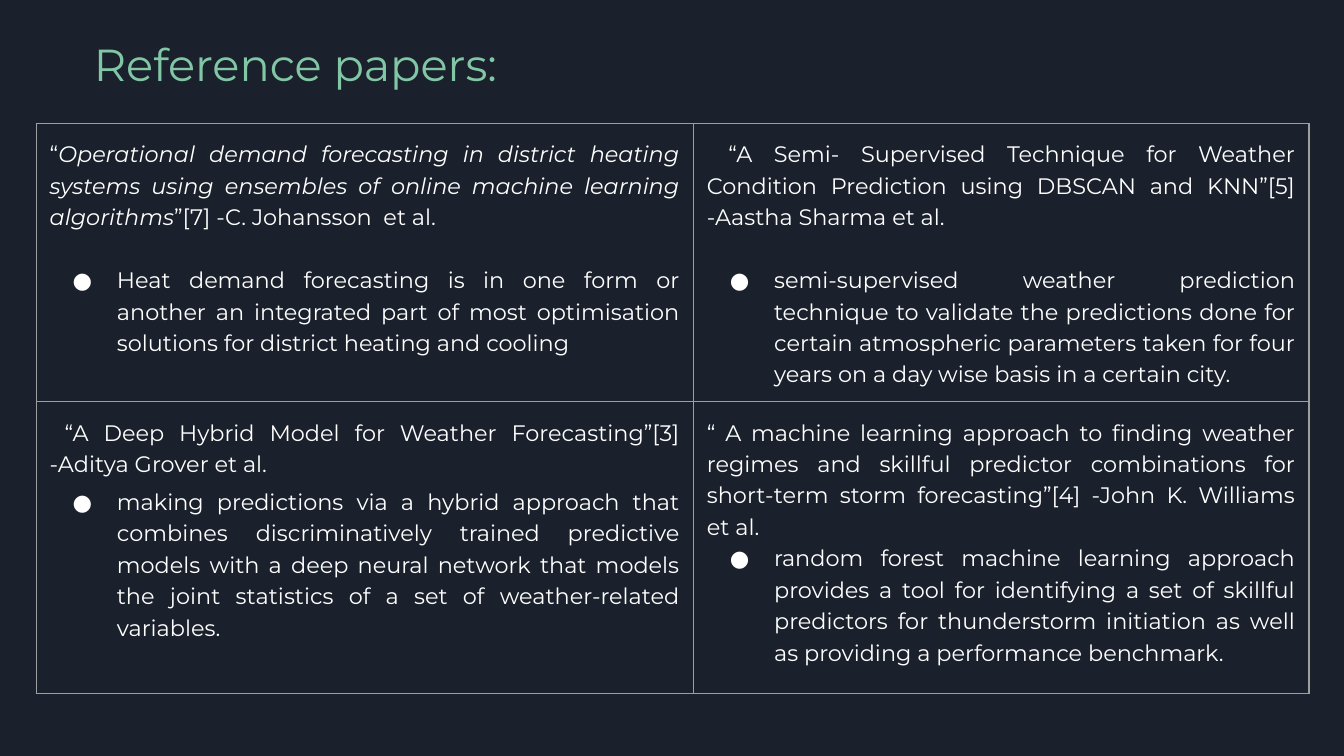
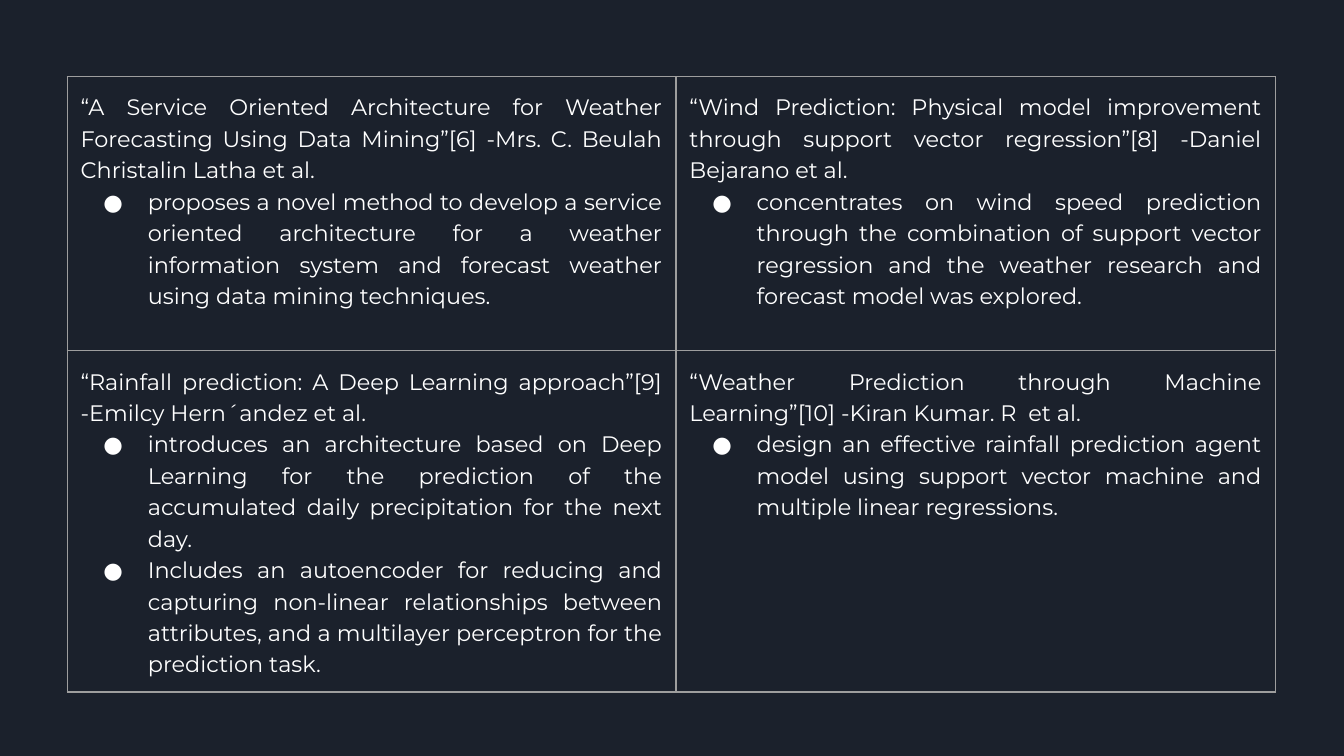
from lxml.etree import SubElement
from pptx import Presentation
from pptx.dml.color import RGBColor
from pptx.enum.text import MSO_ANCHOR, PP_ALIGN
from pptx.oxml.ns import qn
from pptx.util import Inches, Pt

BACKGROUND, MINT, WHITE, GRID = "1B212C", "82C7A5", "FFFFFF", "9E9E9E"
FONT = "Montserrat"
BODY_SIZE = 12
LINE_SPACING = 1.15
BLANK_LINE = 16.8  # points, one line of body text

# Each cell: citation as (text, italic) runs, bullets, space before in points
# for the citation and for each bullet.
PAGES = [
    {
        "title": "Reference papers:",
        "left": 0.27, "top": 0.92,
        "columns": [4.89, 4.58], "rows": [2.07, 2.17],
        "papers": [
            [
                ([("“", False),
                  ("Operational demand forecasting in district heating systems "
                   "using ensembles of online machine learning algorithms", True),
                  ("”[7] -C. Johansson  et al. ", False)],
                 ["Heat demand forecasting is in one form or another an integrated "
                  "part of most optimisation solutions for district heating and "
                  "cooling "], 0, BLANK_LINE),
                ([(" “A Semi- Supervised Technique for Weather Condition Prediction "
                   "using DBSCAN and KNN”[5] -Aastha Sharma et al.", False)],
                 ["semi-supervised weather prediction technique to validate the "
                  "predictions done for certain atmospheric parameters taken for "
                  "four years on a day wise basis in a certain city."],
                 0, BLANK_LINE),
            ],
            [
                ([(" “A Deep Hybrid Model for Weather Forecasting”[3] "
                   "-Aditya Grover et al.", False)],
                 ["making predictions via a hybrid approach that combines "
                  "discriminatively trained predictive models with a deep neural "
                  "network that models the joint statistics of a set of "
                  "weather-related variables."], 3.5, 3.5),
                ([("“ A machine learning approach to finding weather regimes and "
                   "skillful predictor combinations for short-term storm "
                   "forecasting”[4] -John K. Williams et al.", False)],
                 ["random forest machine learning approach provides a tool for "
                  "identifying a set of skillful predictors for thunderstorm "
                  "initiation as well as providing a performance benchmark."], 0, 0),
            ],
        ],
    },
    {
        "title": None,
        "left": 0.5, "top": 0.57,
        "columns": [4.53, 4.46], "rows": [2.04, 2.54],
        "papers": [
            [
                ([("“A Service Oriented Architecture for Weather Forecasting Using "
                   "Data Mining”[6] -Mrs. C. Beulah Christalin Latha et al.", False)],
                 ["proposes a novel method to develop a service oriented "
                  "architecture for a weather information system and forecast "
                  "weather using data mining techniques."], 0, 0),
                ([("“Wind Prediction: Physical model improvement through support "
                   "vector regression”[8] -Daniel Bejarano et al.", False)],
                 ["concentrates on wind speed prediction through the combination of "
                  "support vector regression and the weather research and forecast "
                  "model was explored."], 0, 0),
            ],
            [
                ([("“Rainfall prediction: A Deep Learning approach”[9] "
                   "-Emilcy Hern´andez et al.", False)],
                 ["introduces an architecture based on Deep Learning for the "
                  "prediction of the accumulated daily precipitation for the next "
                  "day. ",
                  "Includes an autoencoder for reducing and capturing non-linear "
                  "relationships between attributes, and a multilayer perceptron "
                  "for the prediction task."], 0, 0),
                ([("“Weather Prediction through Machine Learning”[10] "
                   "-Kiran Kumar. R  et al.", False)],
                 ["design an effective rainfall prediction agent model using "
                  "support vector machine and multiple linear regressions."], 0, 0),
            ],
        ],
    },
]


def color(hex_code):
    """Turn a hex string into a colour."""
    return RGBColor.from_string(hex_code)


def write_runs(paragraph, runs, size, hex_code):
    """Add (text, italic) runs to a paragraph in the deck's font."""
    for text, italic in runs:
        run = paragraph.add_run()
        run.text = text
        run.font.color.rgb = color(hex_code)
        for attribute, value in {"name": FONT, "size": Pt(size),
                                 "italic": italic}.items():
            setattr(run.font, attribute, value)


deck = Presentation()
deck.slide_width = Inches(10)
deck.slide_height = deck.slide_width * 9 // 16
margins = {f"margin_{side}": Inches(0.1)
           for side in ("left", "top", "right", "bottom")}

for page in PAGES:
    slide = deck.slides.add_slide(deck.slide_layouts[6])
    slide.background.fill.solid()
    slide.background.fill.fore_color.rgb = color(BACKGROUND)

    if page["title"]:
        title = slide.shapes.add_textbox(
            Inches(0.6), Inches(0.17), Inches(7.7), Inches(0.66)).text_frame
        for attribute, value in {"word_wrap": True, **margins}.items():
            setattr(title, attribute, value)
        write_runs(title.paragraphs[0], [(page["title"], False)], 24, MINT)

    columns, rows = page["columns"], page["rows"]
    grid = slide.shapes.add_table(
        len(rows), len(columns), Inches(page["left"]), Inches(page["top"]),
        Inches(sum(columns)), Inches(sum(rows))).table
    grid.first_row = grid.horz_banding = False
    for column, width in zip(grid.columns, columns):
        column.width = Inches(width)
    for row, height in zip(grid.rows, rows):
        row.height = Inches(height)

    for r, paper_row in enumerate(page["papers"]):
        for c, (citation, bullets, before, bullet_before) in enumerate(paper_row):
            cell = grid.cell(r, c)
            for attribute, value in {"vertical_anchor": MSO_ANCHOR.TOP,
                                     **margins}.items():
                setattr(cell, attribute, value)

            # Borders come before the fill in the cell properties
            cell_format = cell._tc.get_or_add_tcPr()
            for edge in ("a:lnL", "a:lnR", "a:lnT", "a:lnB"):
                border = SubElement(cell_format, qn(edge), w=str(Pt(0.75)))
                stroke = SubElement(border, qn("a:solidFill"))
                SubElement(stroke, qn("a:srgbClr"), val=GRID)
            cell.fill.background()

            frame = cell.text_frame
            paragraphs = [(frame.paragraphs[0], citation, before)]
            paragraphs += [(frame.add_paragraph(), [(bullet, False)], bullet_before)
                           for bullet in bullets]
            for index, (paragraph, runs, space) in enumerate(paragraphs):
                for attribute, value in {"alignment": PP_ALIGN.JUSTIFY,
                                         "line_spacing": LINE_SPACING,
                                         "space_before": Pt(space)}.items():
                    setattr(paragraph, attribute, value)
                write_runs(paragraph, runs, BODY_SIZE, WHITE)
                if index:
                    layout = paragraph._p.get_or_add_pPr()
                    layout.set("marL", str(Inches(0.5)))
                    layout.set("indent", str(Inches(-0.33)))
                    bullet_color = SubElement(layout, qn("a:buClr"))
                    SubElement(bullet_color, qn("a:srgbClr"), val=WHITE)
                    bullet_size = str(BODY_SIZE * 100)
                    SubElement(layout, qn("a:buSzPts"), val=bullet_size)
                    SubElement(layout, qn("a:buFont"), typeface=FONT)
                    SubElement(layout, qn("a:buChar"), char="●")
                    # The paragraph's end mark sets the size the bullet scales from
                    SubElement(paragraph._p, qn("a:endParaRPr"), sz=bullet_size)

deck.save("out.pptx")
